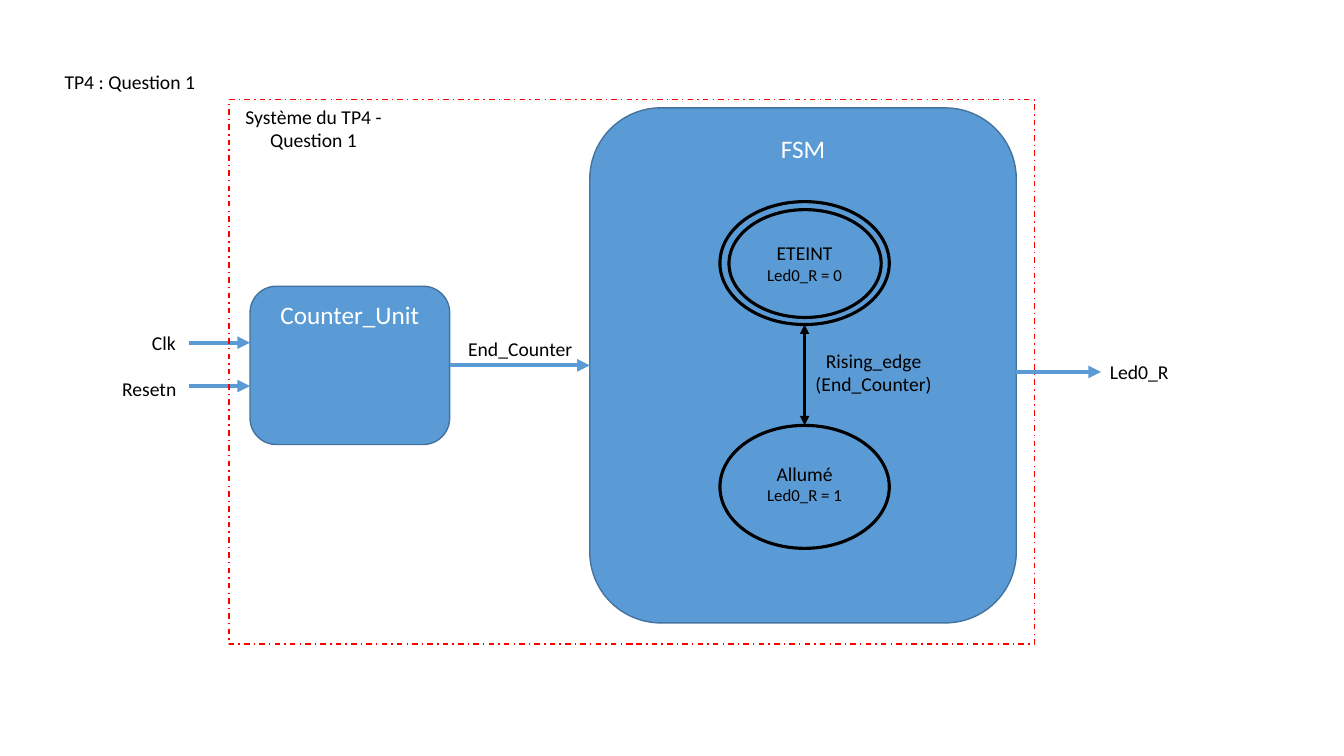
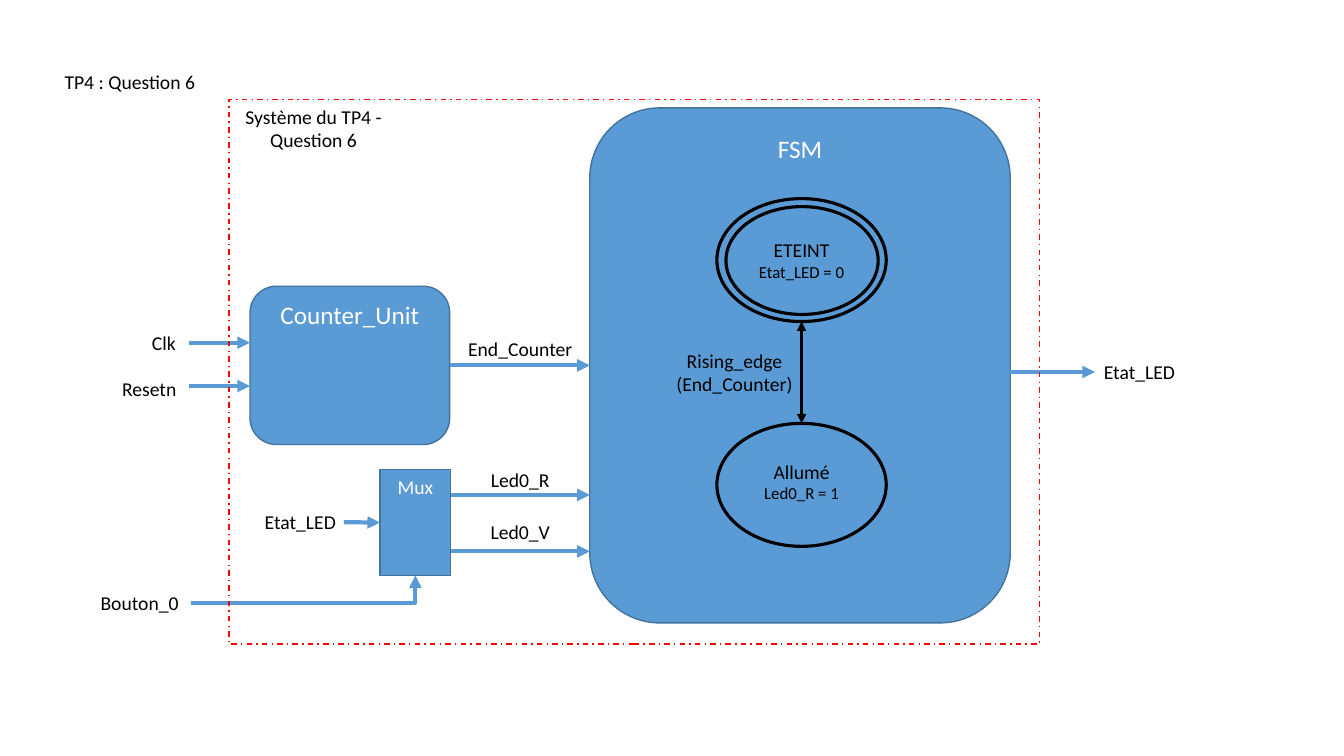
from dataclasses import dataclass
from typing import Optional

from lxml import etree
from pptx import Presentation
from pptx.dml.color import RGBColor
from pptx.enum.dml import MSO_LINE
from pptx.enum.shapes import MSO_CONNECTOR, MSO_SHAPE
from pptx.enum.text import MSO_ANCHOR, MSO_AUTO_SIZE, PP_ALIGN
from pptx.oxml.ns import qn
from pptx.shapes.autoshape import Shape
from pptx.shapes.connector import Connector
from pptx.slide import Slide
from pptx.text.text import TextFrame
from pptx.util import Emu, Pt

ROUNDED, RECTANGLE, OVAL = MSO_SHAPE.ROUNDED_RECTANGLE, MSO_SHAPE.RECTANGLE, MSO_SHAPE.OVAL
STRAIGHT, ELBOW = MSO_CONNECTOR.STRAIGHT, MSO_CONNECTOR.ELBOW
LEFT, CENTER, RIGHT = PP_ALIGN.LEFT, PP_ALIGN.CENTER, PP_ALIGN.RIGHT
TOP = MSO_ANCHOR.TOP
NO_FIT, GROW = MSO_AUTO_SIZE.NONE, MSO_AUTO_SIZE.SHAPE_TO_FIT_TEXT
DASH_DOT = MSO_LINE.DASH_DOT
TOP_SIDE, LEFT_SIDE, BOTTOM_SIDE, RIGHT_SIDE = range(4)

FONT = "Calibri"
BLUE, EDGE, RED, BLACK, WHITE = "5B9BD5", "43739E", "FF0000", "000000", "FFFFFF"
EMU_PER_PX = 9144
TITLE_ONLY = 5


@dataclass(frozen=True)
class Box:
    """A rectangle in px, at 100 px to the inch."""
    left: int
    top: int
    width: int
    height: int

    def emu(self) -> tuple[Emu, Emu, Emu, Emu]:
        """Return the four lengths in EMU."""
        return px(self.left), px(self.top), px(self.width), px(self.height)


@dataclass(frozen=True)
class Span:
    """A line of text with its size in points."""
    text: str
    size: int = 14


@dataclass(frozen=True)
class Label:
    """A free text with its place and alignment."""
    box: Box
    lines: tuple[Span, ...]
    align: PP_ALIGN = CENTER


@dataclass(frozen=True)
class Arrow:
    """A straight arrow between two points."""
    start: tuple[int, int]
    end: tuple[int, int]
    color: str = BLUE
    weight: float = 3
    both_ends: bool = False


@dataclass(frozen=True)
class System:
    """What differs between the diagrams."""
    question: str
    fsm_width: int
    frame_width: int
    state_tops: tuple[int, int]
    off_action: str
    transition_shift: int
    output: str
    has_mux: bool


COUNTER = Box(248, 284, 198, 157)
MUX = Box(377, 466, 70, 105)
FSM_LEFT, FSM_TOP, FSM_HEIGHT = 585, 107, 511
INPUT_LABELS = (
    Label(Box(138, 323, 49, 34), (Span("Clk"),)),
    Label(Box(109, 369, 78, 34), (Span("Resetn"),)),
    Label(Box(450, 329, 132, 34), (Span("End_Counter"),)),
)
INPUT_ARROWS = tuple(Arrow((187, y), (COUNTER.left, y)) for y in (340, 383))
MUX_LABELS = (
    Label(Box(88, 581, 101, 34), (Span("Bouton_0"),)),
    Label(Box(447, 459, 138, 34), (Span("Led0_R"),)),
    Label(Box(447, 511, 138, 34), (Span("Led0_V"),)),
    Label(Box(248, 501, 95, 34), (Span("Etat_LED"),), RIGHT),
)
MUX_ARROWS = tuple(Arrow((447, y), (FSM_LEFT, y)) for y in (491, 547))
SYSTEMS = (
    System("Question 1", 423, 799, (200, 422), "Led0_R = 0", -2, "Led0_R", False),
    System("Question 6", 417, 804, (197, 420), "Etat_LED = 0", -137, "Etat_LED", True),
)


def px(length: int) -> Emu:
    """Turn px into EMU."""
    return Emu(length * EMU_PER_PX)


def rgb(color: str) -> RGBColor:
    """Turn a hex string into a colour."""
    return RGBColor.from_string(color)


def write(frame: TextFrame, lines: tuple[Span, ...], color: str, align: PP_ALIGN) -> None:
    """Write one paragraph for each line, from the top of the frame."""
    frame.word_wrap = True
    frame.vertical_anchor = TOP
    for index, line in enumerate(lines):
        para = frame.add_paragraph() if index else frame.paragraphs[0]
        para.alignment = align
        span = para.add_run()
        span.text = line.text
        span.font.name = FONT
        span.font.size = Pt(line.size)
        span.font.color.rgb = rgb(color)


def draw_label(page: Slide, label: Label) -> None:
    """Draw a free text."""
    box = page.shapes.add_textbox(*label.box.emu())
    write(box.text_frame, label.lines, BLACK, label.align)
    box.text_frame.auto_size = GROW


def draw_shape(page: Slide, kind: MSO_SHAPE, place: Box, line: str,
               weight: float = 1, fill: Optional[str] = BLUE) -> Shape:
    """Draw a flat outlined shape."""
    shape = page.shapes.add_shape(kind, *place.emu())
    shape.shadow.inherit = False
    if fill:
        shape.fill.solid()
        shape.fill.fore_color.rgb = rgb(fill)
    else:
        shape.fill.background()
    shape.line.color.rgb = rgb(line)
    shape.line.width = Pt(weight)
    return shape


def draw_block(page: Slide, kind: MSO_SHAPE, place: Box, name: Span) -> Shape:
    """Draw a named component."""
    block = draw_shape(page, kind, place, EDGE)
    write(block.text_frame, (name,), WHITE, CENTER)
    return block


def draw_arrow(page: Slide, arrow: Arrow, kind: MSO_CONNECTOR = STRAIGHT) -> Connector:
    """Draw a connector with its arrowheads and no shadow."""
    points = (px(length) for length in (*arrow.start, *arrow.end))
    connector = page.shapes.add_connector(kind, *points)
    connector.line.color.rgb = rgb(arrow.color)
    connector.line.width = Pt(arrow.weight)
    properties = connector.element.spPr
    outline = properties.find(qn("a:ln"))
    for end in ("a:headEnd", "a:tailEnd") if arrow.both_ends else ("a:tailEnd",):
        etree.SubElement(outline, qn(end), type="triangle")
    etree.SubElement(properties, qn("a:effectLst"))
    return connector


def draw_title(page: Slide, text: str) -> None:
    """Place and fill the slide title."""
    title = page.shapes.title
    title.left, title.top, title.width, title.height = Box(54, 64, 249, 34).emu()
    write(title.text_frame, (Span(text),), BLACK, LEFT)
    title.text_frame.auto_size = NO_FIT


def draw_states(page: Slide, system: System, middle: int) -> None:
    """Draw the two states and the transition between them."""
    off_top, on_top = system.state_tops
    left = middle - 84
    for top in system.state_tops:
        draw_shape(page, OVAL, Box(left, top, 168, 122), BLACK, 2.25)
    draw_shape(page, OVAL, Box(left + 9, off_top + 8, 151, 107), BLACK, 2.25)
    states = (("ETEINT", system.off_action, off_top + 34), ("Allumé", "Led0_R = 1", on_top + 31))
    for name, action, top in states:
        draw_label(page, Label(Box(left + 18, top, 132, 54), (Span(name), Span(action, 12))))
    draw_arrow(page, Arrow((middle, off_top + 122), (middle, on_top), BLACK, 2.25, True))
    draw_label(page, Label(Box(middle + system.transition_shift, 341, 141, 57),
                           (Span("Rising_edge"), Span("(End_Counter)"))))


def draw_mux(page: Slide) -> None:
    """Draw the multiplexer with its inputs and outputs."""
    mux = draw_block(page, RECTANGLE, MUX, Span("Mux"))
    for label in MUX_LABELS:
        draw_label(page, label)
    for arrow in MUX_ARROWS:
        draw_arrow(page, arrow)
    state_input = draw_arrow(page, Arrow((341, 518), (377, 518)))
    state_input.end_connect(mux, LEFT_SIDE)
    button_input = draw_arrow(page, Arrow((189, 598), (412, 571)), ELBOW)
    button_input.element.spPr.find(qn("a:prstGeom")).set("prst", "bentConnector2")
    button_input.end_connect(mux, BOTTOM_SIDE)


def draw_system(page: Slide, system: System) -> None:
    """Draw one complete diagram."""
    draw_title(page, f"TP4 : {system.question}")
    counter = draw_block(page, ROUNDED, COUNTER, Span("Counter_Unit", 18))
    fsm_box = Box(FSM_LEFT, FSM_TOP, system.fsm_width, FSM_HEIGHT)
    fsm = draw_block(page, ROUNDED, fsm_box, Span("FSM", 18))
    for label in INPUT_LABELS:
        draw_label(page, label)
    for arrow in INPUT_ARROWS:
        draw_arrow(page, arrow)
    count_end = draw_arrow(page, Arrow((446, 362), (FSM_LEFT, 362)))
    count_end.begin_connect(counter, RIGHT_SIDE)
    count_end.end_connect(fsm, LEFT_SIDE)
    fsm_right = FSM_LEFT + system.fsm_width
    draw_arrow(page, Arrow((fsm_right, 369), (fsm_right + 84, 369)))
    draw_label(page, Label(Box(fsm_right + 83, 352, 107, 34), (Span(system.output),), LEFT))
    draw_states(page, system, FSM_LEFT + system.fsm_width // 2 + 2)
    if system.has_mux:
        draw_mux(page)
    frame = draw_shape(page, RECTANGLE, Box(227, 99, system.frame_width, 540), RED, fill=None)
    frame.line.dash_style = DASH_DOT
    draw_label(page, Label(Box(227, 99, 168, 57), (Span(f"Système du TP4 - {system.question}"),)))


def main() -> None:
    """Build and save the deck."""
    deck = Presentation()
    deck.slide_width, deck.slide_height = px(1333), px(750)
    for system in SYSTEMS:
        page = deck.slides.add_slide(deck.slide_layouts[TITLE_ONLY])
        draw_system(page, system)
    deck.save("out.pptx")


if __name__ == "__main__":
    main()
